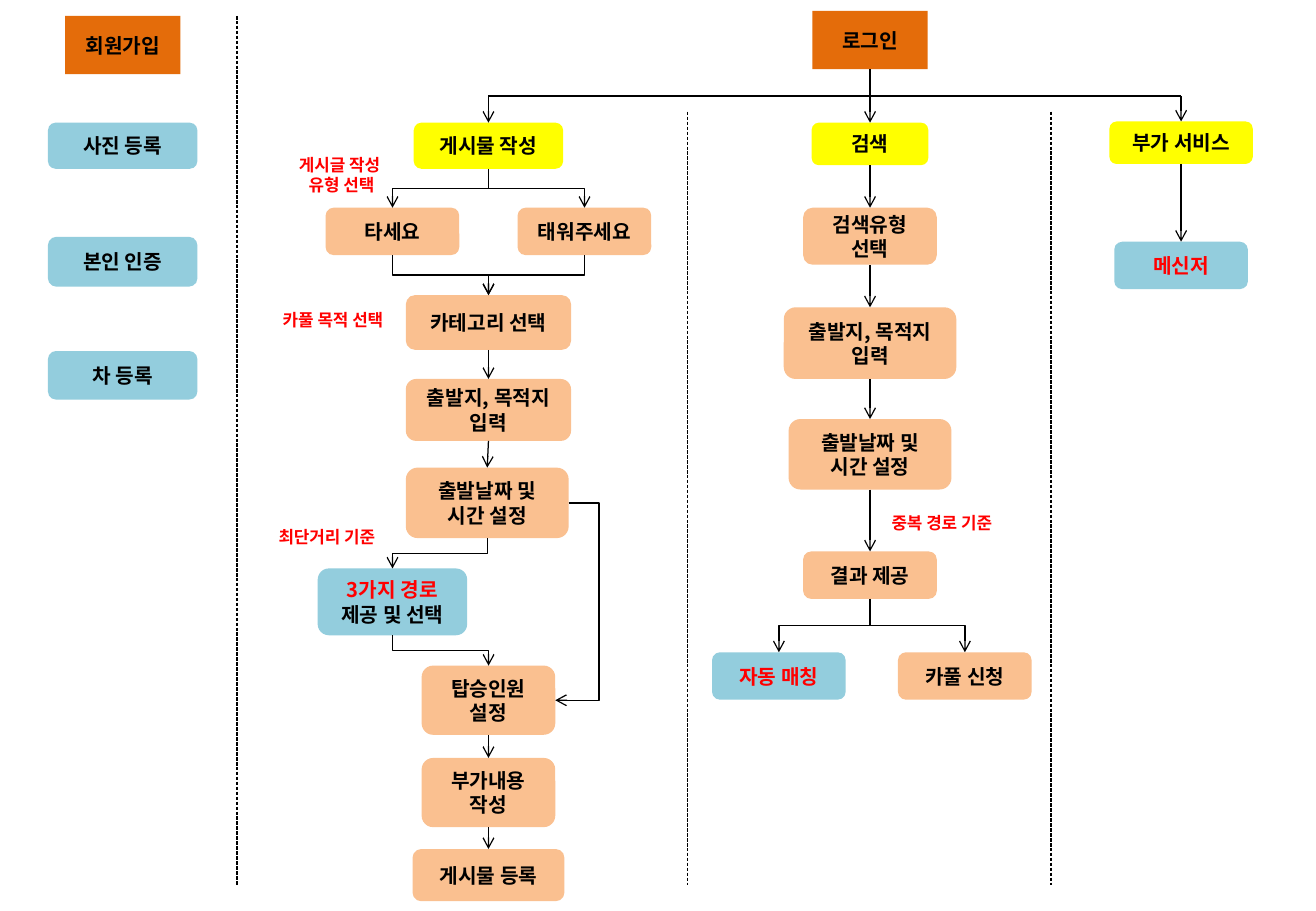
from lxml.etree import SubElement
from pptx import Presentation
from pptx.dml.color import RGBColor
from pptx.enum.dml import MSO_LINE
from pptx.enum.shapes import MSO_CONNECTOR, MSO_SHAPE
from pptx.enum.text import MSO_ANCHOR, MSO_AUTO_SIZE, PP_ALIGN
from pptx.oxml.ns import qn
from pptx.util import Inches, Pt

THEME = {
    "font": "Noto Sans CJK KR",
    "node_size": 12,
    "note_size": 10,
    "line_width": 0.75,
    "colours": {
        "black": "000000", "red": "FF0000",
        "entry": "E46C0A", "menu": "FFFF00", "step": "FAC090", "feature": "93CDDD",
    },
}


def lines(*texts, colour="black"):
    """Return one single-run paragraph for each text."""
    return [[(text, colour)] for text in texts]


# Column centres
SIGN_UP, POST_LEFT, POST, POST_RIGHT = 1.01, 3.23, 4.02, 4.81
SEARCH_LEFT, SEARCH, SEARCH_RIGHT, EXTRA = 6.41, 7.16, 7.94, 9.72

# name: (paragraphs, kind, column centre, top, width, height)
NODES = {
    "sign up": (lines("회원가입"), "entry", SIGN_UP, 0.13, 0.95, 0.48),
    "photo": (lines("사진 등록"), "feature", SIGN_UP, 1.01, 1.23, 0.38),
    "identity": (lines("본인 인증"), "feature", SIGN_UP, 1.95, 1.23, 0.41),
    "car": (lines("차 등록"), "feature", SIGN_UP, 2.89, 1.23, 0.4),
    "login": (lines("로그인"), "entry", SEARCH, 0.09, 0.95, 0.48),
    "write post": (lines("게시물 작성"), "menu", POST, 1.01, 1.23, 0.38),
    "offer ride": (lines("타세요"), "step", POST_LEFT, 1.71, 1.1, 0.39),
    "ask ride": (lines("태워주세요"), "step", POST_RIGHT, 1.71, 1.1, 0.39),
    "category": (lines("카테고리 선택"), "step", POST, 2.43, 1.36, 0.45),
    "post places": (lines("출발지, 목적지 입력"), "step", POST, 3.12, 1.36, 0.51),
    "post date": (lines("출발날짜 및", "시간 설정"), "step", 4.01, 3.85, 1.34, 0.58),
    "routes": ([[("3가지 경로", "red"), (" 제공 및 선택", "black")]],
               "feature", POST_LEFT, 4.68, 1.23, 0.55),
    "passengers": (lines("탑승인원", "설정"), "step", POST, 5.48, 1.1, 0.57),
    "details": (lines("부가내용", "작성"), "step", POST, 6.24, 1.1, 0.57),
    "publish": (lines("게시물 등록"), "step", POST, 6.99, 1.25, 0.43),
    "search": (lines("검색"), "menu", SEARCH, 1.01, 0.96, 0.35),
    "search type": (lines("검색유형 선택"), "step", SEARCH, 1.71, 1.1, 0.47),
    "search places": (lines("출발지, 목적지", "입력"), "step", SEARCH, 2.53, 1.42, 0.59),
    "search date": (lines("출발날짜 및", "시간 설정"), "step", SEARCH, 3.45, 1.34, 0.58),
    "results": (lines("결과 제공"), "step", SEARCH, 4.54, 1.1, 0.39),
    "auto match": (lines("자동 매칭", colour="red"), "feature", SEARCH_LEFT, 5.37, 1.1, 0.39),
    "apply": (lines("카풀 신청"), "step", SEARCH_RIGHT, 5.37, 1.1, 0.39),
    "extras": (lines("부가 서비스"), "menu", EXTRA, 1.0, 1.18, 0.35),
    "messenger": (lines("메신저", colour="red"), "feature", EXTRA, 1.99, 1.1, 0.39),
}

# Each flow runs from the bottom of one node to the top of the next
FLOWS = [
    ("login", "search"),
    ("write post", "offer ride"), ("write post", "ask ride"),
    ("offer ride", "category"), ("ask ride", "category"),
    ("category", "post places"), ("post places", "post date"),
    ("post date", "routes"), ("routes", "passengers"),
    ("passengers", "details"), ("details", "publish"),
    ("search", "search type"), ("search type", "search places"),
    ("search places", "search date"), ("search date", "results"),
    ("results", "auto match"), ("results", "apply"), ("extras", "messenger"),
]
# Menus reached from the bar below the login
BAR_TOP = 0.79
BAR_MENUS = ("write post", "extras")
BYPASS = ("post date", "passengers")
BYPASS_REACH = 0.25

# (paragraphs, left, top, width, height, wraps)
NOTES = [
    (lines("게시글 작성 ", "유형 선택", colour="red"), 2.31, 1.22, 1.0, 0.44, False),
    (lines("카풀 목적 선택", colour="red"), 2.17, 2.5, 1.14, 0.27, False),
    (lines("최단거리 기준", colour="red"), 2.11, 4.29, 1.16, 0.27, True),
    (lines("중복 경로 기준", colour="red"), 7.18, 4.17, 1.14, 0.27, False),
]

# (x, top)
DIVIDERS = [(1.95, 0.13), (5.66, 0.92), (8.65, 0.92)]
DIVIDER_BOTTOM = 7.29

TOP, BOTTOM, RIGHT = 0, 2, 3  # connection sites of a rectangle


def colour_of(name):
    """Return a theme colour."""
    return RGBColor.from_string(THEME["colours"][name])


def write_text(frame, paragraphs, size):
    """Fill a text frame with centred bold paragraphs, run by run."""
    for index, runs in enumerate(paragraphs):
        paragraph = frame.add_paragraph() if index else frame.paragraphs[0]
        paragraph.alignment = PP_ALIGN.CENTER
        for text, colour in runs:
            run = paragraph.add_run()
            run.text = text
            run.font.size = Pt(size)
            run.font.bold = True
            run.font.color.rgb = colour_of(colour)
            run.font.name = THEME["font"]
            SubElement(run.font._element, qn("a:ea"), typeface=THEME["font"])


def add_node(slide, paragraphs, kind, centre, top, width, height):
    """Add one box of the flow, centred on its column."""
    preset = MSO_SHAPE.RECTANGLE if kind == "entry" else MSO_SHAPE.ROUNDED_RECTANGLE
    shape = slide.shapes.add_shape(
        preset, Inches(centre - width / 2), Inches(top), Inches(width), Inches(height))
    shape.shadow.inherit = False
    shape.fill.solid()
    shape.fill.fore_color.rgb = colour_of(kind)
    shape.line.fill.background()
    shape.text_frame.word_wrap = True
    shape.text_frame.vertical_anchor = MSO_ANCHOR.MIDDLE
    write_text(shape.text_frame, paragraphs, THEME["node_size"])
    return shape


def add_note(slide, paragraphs, left, top, width, height, wraps):
    """Add a red remark beside the flow."""
    box = slide.shapes.add_textbox(Inches(left), Inches(top), Inches(width), Inches(height))
    box.text_frame.word_wrap = wraps
    box.text_frame.auto_size = MSO_AUTO_SIZE.SHAPE_TO_FIT_TEXT
    write_text(box.text_frame, paragraphs, THEME["note_size"])


def add_line(slide, start, end, kind=MSO_CONNECTOR.STRAIGHT, arrow=False, dashed=False):
    """Add a black line between two points."""
    connector = slide.shapes.add_connector(kind, *start, *end)
    connector.line.color.rgb = colour_of("black")
    connector.line.width = Pt(THEME["line_width"])
    if dashed:
        connector.line.dash_style = MSO_LINE.SQUARE_DOT
    if arrow:
        SubElement(connector.line._get_or_add_ln(), qn("a:tailEnd"), type="arrow")
    SubElement(connector._element.spPr, qn("a:effectLst"))
    return connector


def join(slide, kind, source, source_site, target, target_site):
    """Add an arrow glued to two nodes."""
    connector = add_line(slide, (0, 0), (0, 0), kind, arrow=True)
    connector.begin_connect(source, source_site)
    connector.end_connect(target, target_site)
    return connector


def centre_of(shape):
    """Return the horizontal centre of a shape."""
    return shape.left + shape.width // 2


def add_flow(slide, source, target):
    """Join two nodes downwards, with an elbow if their columns differ."""
    start_x, start_y = centre_of(source), source.top + source.height
    shift, drop = centre_of(target) - start_x, target.top - start_y
    bent = abs(shift) > Inches(0.02)
    kind = MSO_CONNECTOR.ELBOW if bent else MSO_CONNECTOR.STRAIGHT
    connector = join(slide, kind, source, BOTTOM, target, TOP)
    if bent:  # an elbow leaves sideways, so turn it to leave downwards
        connector.width, connector.height = drop, abs(shift)
        connector.left = start_x + (shift - drop) // 2
        connector.top = start_y + (drop - abs(shift)) // 2
        transform = connector._element.spPr.find(qn("a:xfrm"))
        transform.set("rot", str((90 if shift < 0 else 270) * 60000))
        transform.set("flipH", "0" if shift < 0 else "1")
        transform.set("flipV", "0")


def add_bar(slide, menus):
    """Add the bar below the login and an arrow down to each outer menu."""
    ends = [(centre_of(menu), Inches(BAR_TOP)) for menu in menus]
    add_line(slide, *ends)
    for menu, end in zip(menus, ends):
        add_line(slide, end, (end[0], menu.top), arrow=True).end_connect(menu, TOP)


def add_bypass(slide, source, target):
    """Join the right sides of two nodes around the outside."""
    connector = join(slide, MSO_CONNECTOR.ELBOW, source, RIGHT, target, RIGHT)
    bend = round(-Inches(BYPASS_REACH) / connector.width * 100000)
    guides = connector._element.spPr.find(qn("a:prstGeom")).find(qn("a:avLst"))
    SubElement(guides, qn("a:gd"), name="adj1", fmla=f"val {bend}")


def build():
    """Build and save the service flow slide."""
    presentation = Presentation()
    presentation.slide_width, presentation.slide_height = Inches(10.83), Inches(7.5)
    slide = presentation.slides.add_slide(presentation.slide_layouts[6])
    nodes = {name: add_node(slide, *node) for name, node in NODES.items()}
    for source, target in FLOWS:
        add_flow(slide, nodes[source], nodes[target])
    add_bar(slide, [nodes[name] for name in BAR_MENUS])
    add_bypass(slide, *(nodes[name] for name in BYPASS))
    for note in NOTES:
        add_note(slide, *note)
    for x, top in DIVIDERS:
        add_line(slide, (Inches(x), Inches(top)), (Inches(x), Inches(DIVIDER_BOTTOM)), dashed=True)
    presentation.save("out.pptx")


build()
